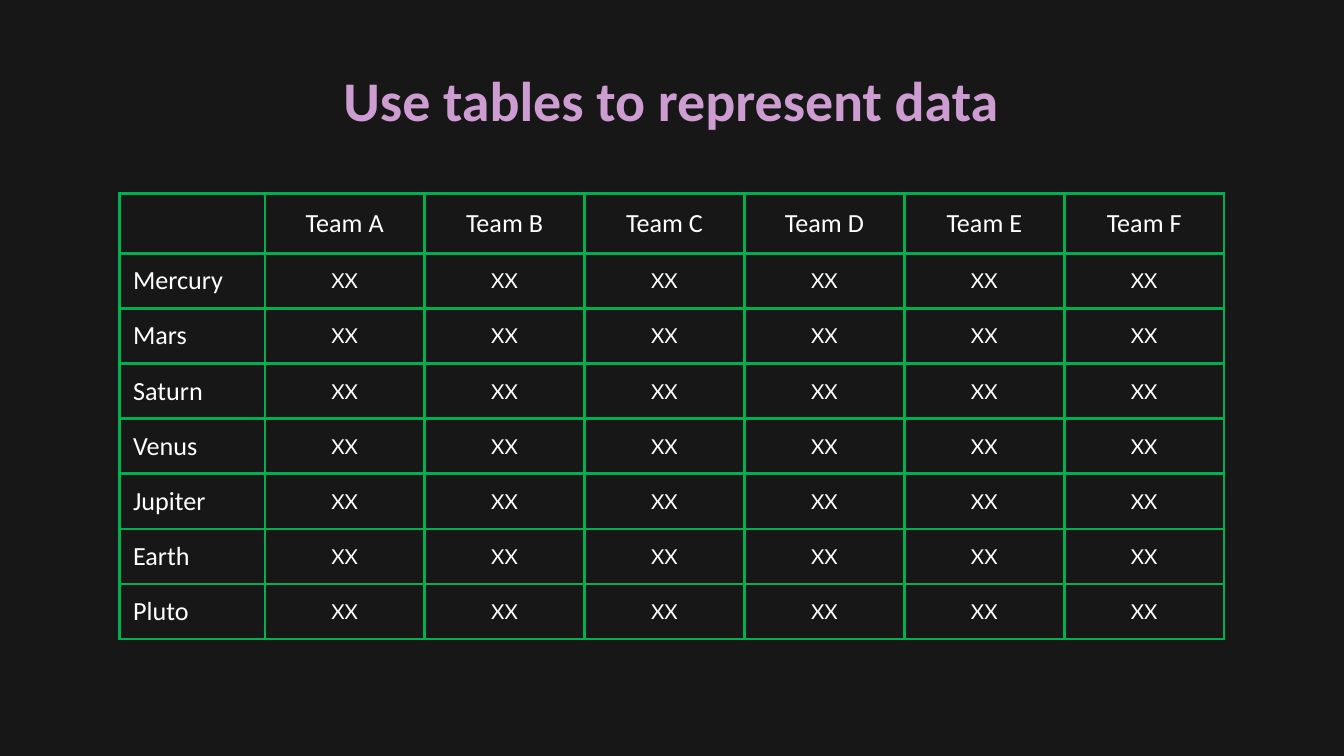
"""Build a dark slide with a title and a table of teams by planet."""
from lxml.etree import SubElement
from pptx import Presentation
from pptx.dml.color import RGBColor
from pptx.enum.text import MSO_ANCHOR, MSO_AUTO_SIZE, PP_ALIGN
from pptx.oxml.ns import qn
from pptx.util import Inches, Pt

TITLE = "Use tables to represent data"
TEAMS = ["Team A", "Team B", "Team C", "Team D", "Team E", "Team F"]
PLANETS = ["Mercury", "Mars", "Saturn", "Venus", "Jupiter", "Earth", "Pluto"]
ROWS = [["", *TEAMS]] + [[name] + ["XX"] * len(TEAMS) for name in PLANETS]

DARK = RGBColor(0x17, 0x17, 0x17)
WHITE = RGBColor(0xFF, 0xFF, 0xFF)
PINK = RGBColor(0xCD, 0x9C, 0xD0)
BLUE = RGBColor(0x9C, 0xCA, 0xED)
GREEN = RGBColor(0x00, 0xB0, 0x50)

LABEL = {"name": "Calibri", "size": Pt(14)}
VALUE = {"name": "Lato", "size": Pt(11)}
HEAD = {"name": "Calibri", "size": Pt(30), "bold": True}
SIDES = ("left", "top", "right", "bottom")
WIDTH = 10
FIRST, WIDE, HIGH = 1.08, 1.19, 0.41


def apply(item, values):
    for key, value in values.items():
        setattr(item, key, value)


def margins(item, across, down):
    for side, size in zip(SIDES, (across, down) * 2):
        setattr(item, f"margin_{side}", Inches(size))


def border(cell):
    props = cell._tc.get_or_add_tcPr()
    for side in "LRTB":
        line = SubElement(props, qn(f"a:ln{side}"), w=str(Pt(1.5)))
        fill = SubElement(line, qn("a:solidFill"))
        SubElement(fill, qn("a:srgbClr"), val=str(GREEN))


def add_title(slide):
    title = slide.shapes.title
    apply(title, dict(left=Inches(0.78), top=Inches(0.39),
                      width=Inches(8.43), height=Inches(0.63)))
    frame = title.text_frame
    apply(frame, {"text": TITLE, "word_wrap": True,
                  "auto_size": MSO_AUTO_SIZE.NONE,
                  "vertical_anchor": MSO_ANCHOR.TOP})
    margins(frame, 0.1, 0.1)
    para = frame.paragraphs[0]
    para.alignment = PP_ALIGN.CENTER
    font = para.runs[0].font
    apply(font, HEAD)
    font.fill.gradient()
    font.fill.gradient_angle = 0
    for stop, color in zip(font.fill.gradient_stops, (PINK, BLUE)):
        stop.color.rgb = color


def fill_cell(cell, row, col, text):
    margins(cell, 0.1 if row == 0 or col == 0 else 0, 0.07 if row == 0 else 0)
    cell.vertical_anchor = MSO_ANCHOR.MIDDLE
    border(cell)
    cell.fill.background()
    if text:
        cell.text = text
        para = cell.text_frame.paragraphs[0]
        para.alignment = PP_ALIGN.CENTER if col else PP_ALIGN.LEFT
        font = para.runs[0].font
        apply(font, VALUE if row and col else LABEL)
        font.color.rgb = WHITE


def add_grid(slide):
    count = len(ROWS)
    table = slide.shapes.add_table(
        count, len(ROWS[0]), Inches(0.89), Inches(1.44),
        Inches(FIRST + WIDE * len(TEAMS)), Inches(HIGH * count)).table
    apply(table, {"first_row": False, "horz_banding": False})
    for col, column in enumerate(table.columns):
        column.width = Inches(WIDE if col else FIRST)
    for row, texts in enumerate(ROWS):
        table.rows[row].height = Inches(HIGH)
        for col, text in enumerate(texts):
            fill_cell(table.cell(row, col), row, col, text)


def main():
    deck = Presentation()
    apply(deck, {"slide_width": Inches(WIDTH),
                 "slide_height": Inches(WIDTH * 9 / 16)})
    slide = deck.slides.add_slide(deck.slide_layouts[5])
    back = slide.background.fill
    back.solid()
    back.fore_color.rgb = DARK
    add_title(slide)
    add_grid(slide)
    deck.save("out.pptx")


if __name__ == "__main__":
    main()
